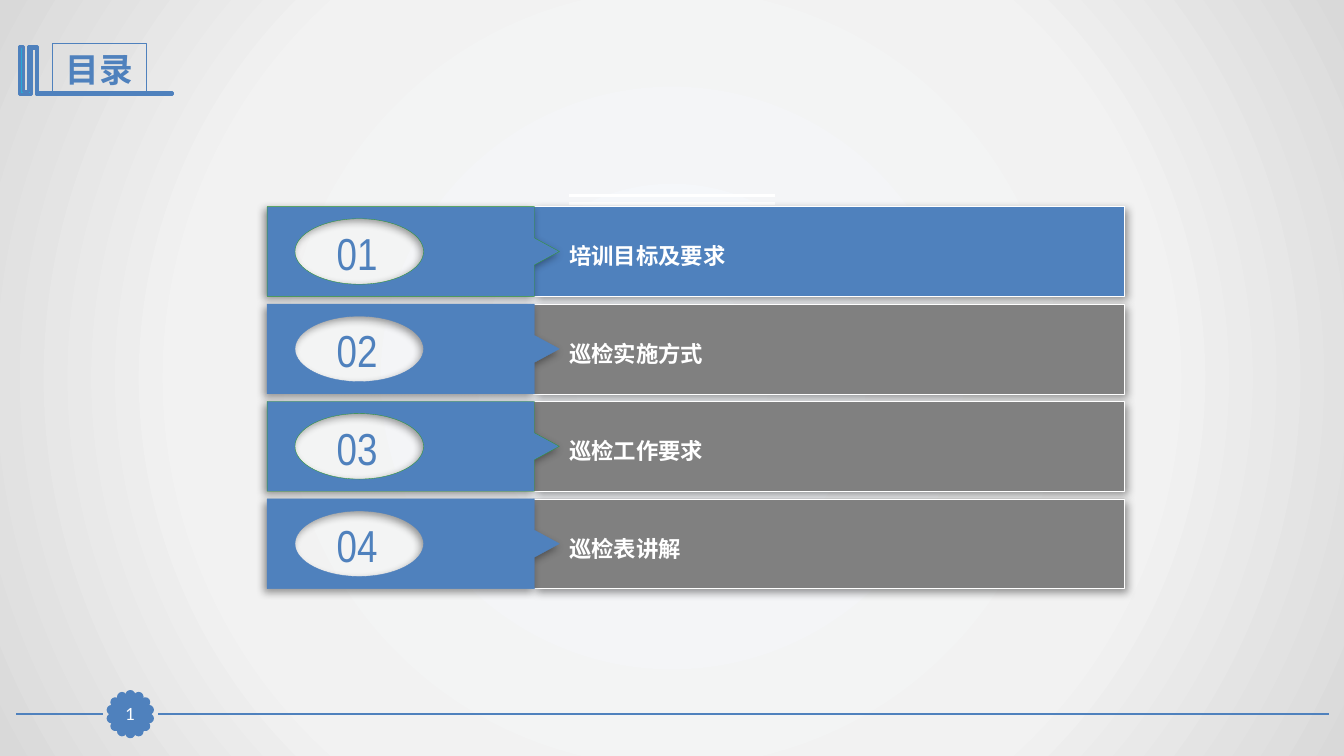
import math
from collections import namedtuple

from pptx import Presentation
from pptx import oxml, util as u
from pptx.dml import color
from pptx.enum import shapes, text
from pptx.oxml import ns

BLUE, GREY, WHITE, GREEN, CYAN = "4F81BD", "808080", "FFFFFF", "339933", "28A9D6"
NARROW, BODY = "Arial Narrow", "Lato"
TOPICS = ["培训目标及要求", "巡检实施方式", "巡检工作要求", "巡检表讲解"]
BACKDROP = [(0, "F6F9FC"), (63, "F2F2F2"), (100, "D9D9D9")]
Box = namedtuple("Box", "left top width height")


def rgb(value):
    """Turn a hex string into a colour."""
    return color.RGBColor.from_string(value)


def part(box, x, y, width=0, height=0):
    """Return the area given in percent of a box."""
    return Box(box.left + box.width * x / 100, box.top + box.height * y / 100,
               box.width * width / 100, box.height * height / 100)


def emu(box):
    """Convert a box in inches to slide units."""
    return [u.Inches(length) for length in box]


def style(shape, fill=None, line=None, weight=0.25, shadow=None):
    """Set fill and outline, and a soft shadow towards the given angle."""
    shape.shadow.inherit = False
    if fill:
        shape.fill.solid()
        shape.fill.fore_color.rgb = rgb(fill)
    else:
        shape.fill.background()
    shape.line.color.rgb = rgb(line)
    shape.line.width = u.Pt(weight)
    if shadow is not None:
        effects = shape.element.spPr.find(ns.qn("a:effectLst"))
        effects.append(oxml.parse_xml(
            f'<a:outerShdw {ns.nsdecls("a")} blurRad="{u.Pt(6)}" dist="{u.Pt(3)}" '
            f'dir="{shadow * 60000}" algn="ctr" rotWithShape="0">'
            '<a:srgbClr val="000000"><a:alpha val="40000"/></a:srgbClr></a:outerShdw>'))


def add_preset(page, kind, box, **look):
    """Add a styled preset shape."""
    shape = page.shapes.add_shape(kind, *emu(box))
    style(shape, **look)
    return shape


def add_outline(page, box, contours, **look):
    """Add a freeform whose contours are in percent of a box."""
    scaled = [[emu(part(box, x, y))[:2] for x, y in contour] for contour in contours]
    builder = page.shapes.build_freeform(*scaled[0][0], scale=1.0)
    for index, contour in enumerate(scaled):
        if index:
            builder.move_to(*contour[0])
        builder.add_line_segments(contour[1:], close=True)
    shape = builder.convert_to_shape()
    style(shape, **look)
    return shape


def bend(shape, count):
    """Turn the last line segments, three by three, into that many curves."""
    steps = list(shape.element.iter(ns.qn("a:lnTo")))[-3 * count:]
    for first in range(0, len(steps), 3):
        curve = oxml.parse_xml(f'<a:cubicBezTo {ns.nsdecls("a")}/>')
        steps[first].addprevious(curve)
        for step in steps[first:first + 3]:
            curve.append(step[0])
            step.getparent().remove(step)


def ellipse_points(x, y, across, down):
    """List the start and the curve points of an ellipse, anticlockwise."""
    pull = 0.55
    corners = [(0, -1), (-1, 0), (0, 1), (1, 0), (0, -1)]
    units = corners[:1]
    for (ax, ay), (bx, by) in zip(corners, corners[1:]):
        units += [(ax + pull * bx, ay + pull * by), (bx + pull * ax, by + pull * ay), (bx, by)]
    return [(x + across * ux, y + down * uy) for ux, uy in units]


def add_line(page, box, start, end, hue, weight):
    """Add a straight line between two points in percent of a box."""
    ends = [emu(part(box, *point))[:2] for point in (start, end)]
    line = page.shapes.add_connector(shapes.MSO_CONNECTOR.STRAIGHT, *ends[0], *ends[1])
    line.line.color.rgb = rgb(hue)
    line.line.width = u.Pt(weight)
    line.element.spPr.append(oxml.parse_xml(f'<a:effectLst {ns.nsdecls("a")}/>'))


def write(shape, words, size, font, hue, bold=False, align=text.PP_ALIGN.CENTER,
          anchor=text.MSO_ANCHOR.MIDDLE, inset=None):
    """Write one formatted line of text into a shape."""
    frame = shape.text_frame
    frame.word_wrap = True
    frame.vertical_anchor = anchor
    if inset is None:
        frame.auto_size = text.MSO_AUTO_SIZE.SHAPE_TO_FIT_TEXT
    else:
        frame.margin_left = frame.margin_right = u.Inches(inset)
        frame.margin_top = frame.margin_bottom = u.Inches(inset)
    para = frame.paragraphs[0]
    para.alignment = align
    span = para.add_run()
    span.text = words
    span.font.size = u.Pt(size)
    span.font.name = font
    span.font.bold = bold
    span.font.color.rgb = rgb(hue)


def paint_background(page):
    """Fill the page with a radial gradient."""
    stops = "".join(f'<a:gs pos="{place * 1000}"><a:srgbClr val="{hue}"/></a:gs>'
                    for place, hue in BACKDROP)
    page.element.cSld.insert(0, oxml.parse_xml(
        f'<p:bg {ns.nsdecls("p", "a")}><p:bgPr><a:gradFill rotWithShape="1">'
        f'<a:gsLst>{stops}</a:gsLst><a:path path="circle">'
        '<a:fillToRect l="50000" t="50000" r="50000" b="50000"/></a:path>'
        '</a:gradFill><a:effectLst/></p:bgPr></p:bg>'))


def draw_footer(page, box, number):
    """Draw the bottom rule and the scalloped page number."""
    for start, end in ((100, 10.8), (6.6, 0)):
        add_line(page, box, (start, 50), (end, 50), BLUE, 1.25)
    petals, petal, radius = 14, 0.07, 0.19
    center = part(box, 8.7, 50)
    rosette = page.shapes.add_group_shape()
    for index in range(petals):
        angle = 2 * math.pi * index / petals
        spot = Box(center.left + radius * math.sin(angle) - petal / 2,
                   center.top - radius * math.cos(angle) - petal / 2, petal, petal)
        add_preset(rosette, shapes.MSO_SHAPE.OVAL, spot, fill=BLUE, line=BLUE, weight=2)
    side = 0.32
    core = Box(center.left - side / 2, center.top - side / 2, side, side)
    badge = add_preset(page, shapes.MSO_SHAPE.RECTANGLE, core,
                       fill=BLUE, line=BLUE, weight=0.75)
    write(badge, number, 12, BODY, WHITE, inset=0)


def draw_header(page, box, title):
    """Draw the book mark and the framed title."""
    books = [(12, 6), (12, 96), (100, 96), (100, 100), (11, 100), (11, 10), (8, 10),
             (8, 100), (0, 100), (0, 6), (3, 6), (3, 94), (6, 94), (6, 6)]
    add_outline(page, box, [books], fill=CYAN, line=BLUE, weight=2)
    frame = add_preset(page, shapes.MSO_SHAPE.RECTANGLE, part(box, 21.7, 0, 61.2, 99),
                       line=BLUE, weight=0.75)
    write(frame, title, 24, NARROW, BLUE, bold=True)


def draw_topic(page, box, number, topic, fill, edge):
    """Draw one agenda row with a pierced arrow tab."""
    row = page.shapes.add_group_shape()
    add_preset(row, shapes.MSO_SHAPE.RECTANGLE, part(box, 31, 0, 69, 100),
               fill=fill, line=WHITE, shadow=45)
    tab = [(0, 0), (31.2, 0), (31.2, 35), (34.1, 50), (31.2, 65), (31.2, 100), (0, 100)]
    hole = ellipse_points(10.75, 50, 7.5, 36.5)
    bend(add_outline(row, box, [tab, hole], fill=BLUE, line=edge, shadow=135), 4)
    label = row.shapes.add_textbox(*emu(part(box, 4.5, 15, 12, 72)))
    write(label, f"{number:02}", 32, NARROW, BLUE)
    caption = row.shapes.add_textbox(*emu(part(box, 34.1, 34.4, 65.9, 42)))
    write(caption, topic, 16, BODY, WHITE, bold=True,
          align=text.PP_ALIGN.LEFT, anchor=text.MSO_ANCHOR.TOP)


def draw_agenda(page, box):
    """Draw the double rule and the evenly spaced agenda rows."""
    for height in (-2.9, -0.8):
        add_line(page, box, (35.2, height), (59.3, height), WHITE, 1.5)
    row_height = 23.5
    pitch = (100 - row_height) / (len(TOPICS) - 1)
    for index, topic in enumerate(TOPICS):
        row = part(box, 0, index * pitch, 100, row_height)
        draw_topic(page, row, index + 1, topic, GREY if index else BLUE,
                   BLUE if index % 2 else GREEN)


def main():
    """Build the agenda slide and save the deck."""
    deck = Presentation()
    deck.slide_width, deck.slide_height = u.Inches(13.33), u.Inches(7.5)
    page = deck.slides.add_slide(deck.slide_layouts[6])
    paint_background(page)
    draw_footer(page, Box(0.16, 6.86, 13.02, 0.45), "1")
    draw_header(page, Box(0.19, 0.43, 1.52, 0.51), "目录")
    draw_agenda(page, Box(2.65, 2.05, 8.5, 3.79))
    deck.save("out.pptx")


if __name__ == "__main__":
    main()
